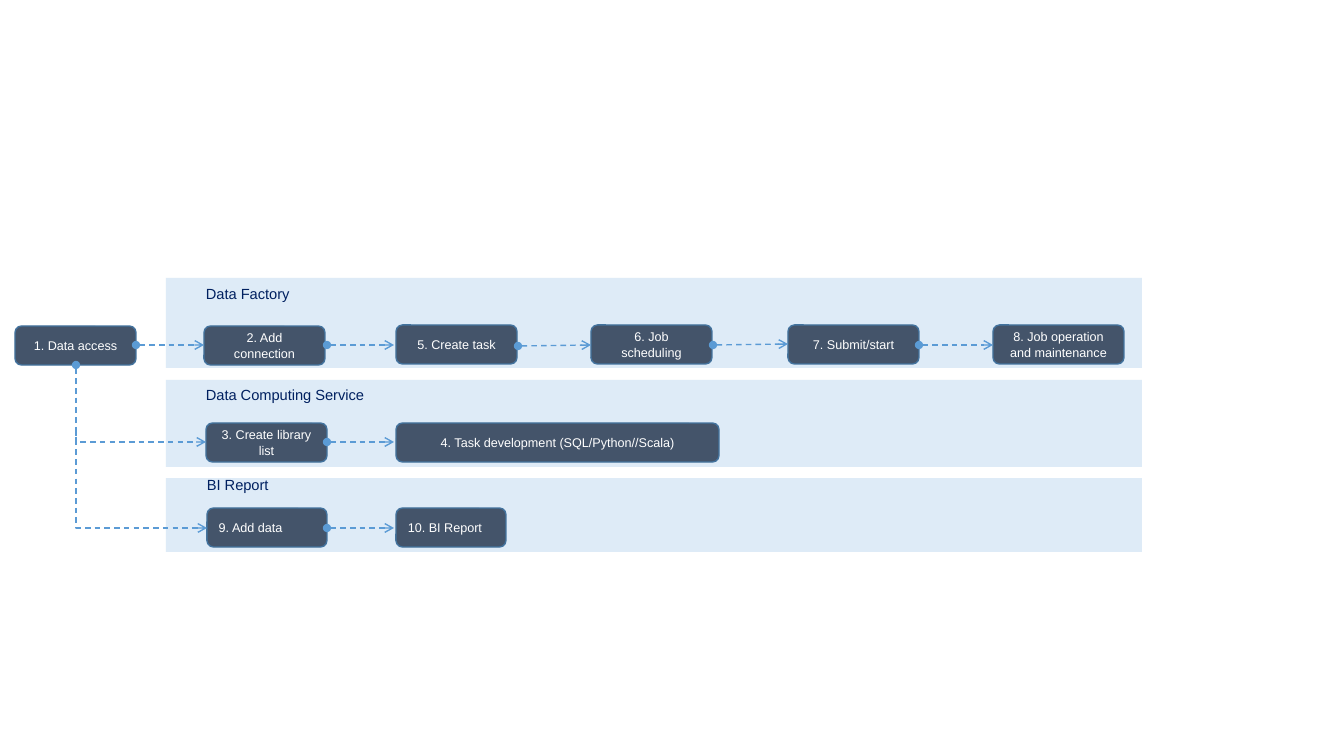
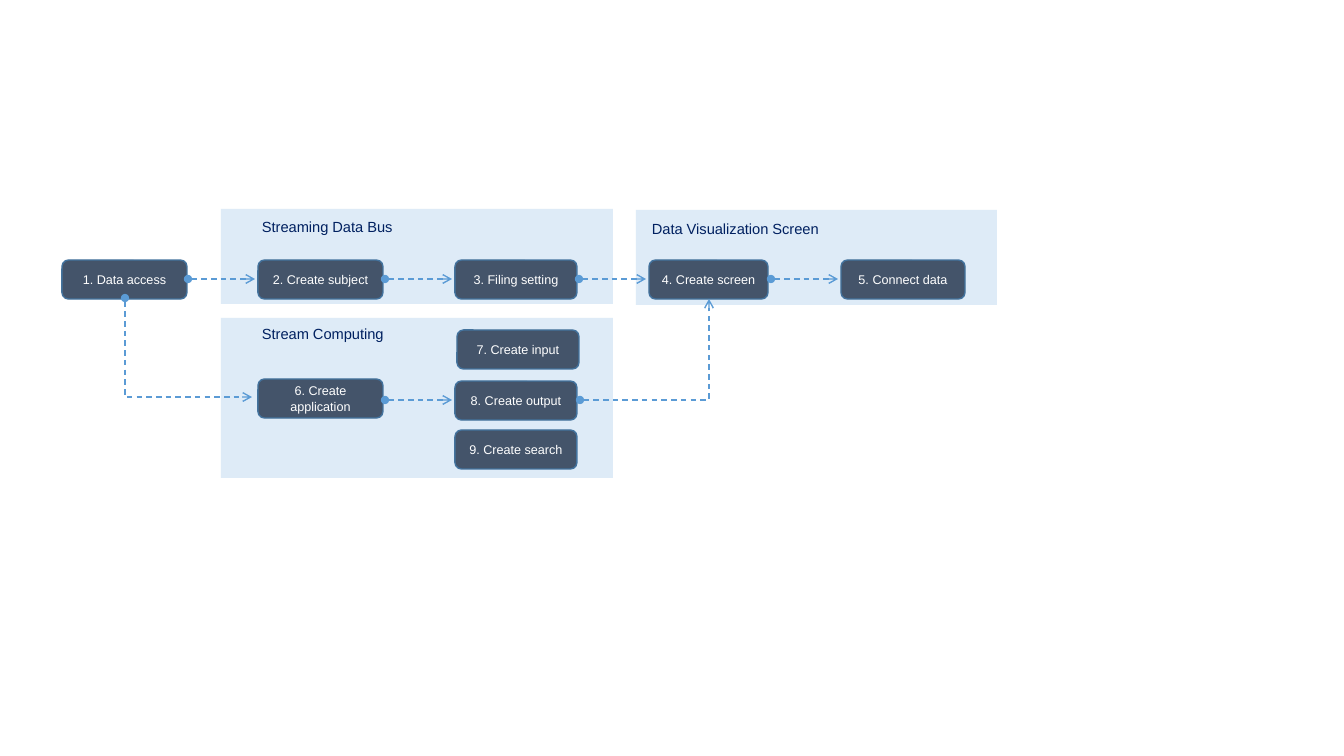
from dataclasses import dataclass

from lxml import etree
from pptx import Presentation
from pptx.dml.color import RGBColor
from pptx.enum.dml import MSO_LINE
from pptx.enum.shapes import MSO_CONNECTOR, MSO_SHAPE
from pptx.enum.text import MSO_ANCHOR, MSO_AUTO_SIZE, PP_ALIGN
from pptx.oxml.ns import qn
from pptx.util import Emu, Pt

RECT, ROUNDED = MSO_SHAPE.RECTANGLE, MSO_SHAPE.ROUNDED_RECTANGLE
STRAIGHT, ELBOW = MSO_CONNECTOR.STRAIGHT, MSO_CONNECTOR.ELBOW
LEFT, CENTER = PP_ALIGN.LEFT, PP_ALIGN.CENTER
MIDDLE, GROW, DASH = MSO_ANCHOR.MIDDLE, MSO_AUTO_SIZE.SHAPE_TO_FIT_TEXT, MSO_LINE.DASH
EMU_PER_PX = 914400 / 100.8
BLANK_LAYOUT = 6
BOX_H = 39
LABEL_H = 29


@dataclass(frozen=True)
class Theme:
    """Colours, font and sizes shared by all slides."""
    band: str = "DEEBF7"
    box: str = "44546A"
    border: str = "43739E"
    arrow: str = "5B9BD5"
    box_text: str = "FFFFFF"
    label_text: str = "002060"
    font: str = "Arial"
    box_size: float = 9
    label_size: float = 10.5
    line_width: float = 1


def px(*lengths):
    """Turn pixel lengths into EMU."""
    return [Emu(round(n * EMU_PER_PX)) for n in lengths]


def rgb(color):
    """Turn a hex string into a colour."""
    return RGBColor.from_string(color)


def write(tf, text, *, font, size, color, align=LEFT):
    """Write one formatted paragraph into a text frame."""
    tf.word_wrap = True
    p = tf.paragraphs[0]
    p.alignment = align
    r = p.add_run()
    r.text = text
    r.font.name, r.font.size = font, Pt(size)
    r.font.color.rgb = rgb(color)


class FlowDeck:
    """Draws flow chart elements on the current slide."""

    def __init__(self, theme):
        """Start an empty widescreen presentation."""
        self.theme = theme
        self.prs = Presentation()
        self.prs.slide_width, self.prs.slide_height = px(1344, 756)
        self.s = None

    def new_slide(self):
        """Add a blank slide and make it current."""
        self.s = self.prs.slides.add_slide(self.prs.slide_layouts[BLANK_LAYOUT])

    def shape(self, kind, x, y, w, h, fill):
        """Add a flat filled shape without an outline."""
        sp = self.s.shapes.add_shape(kind, *px(x, y, w, h))
        sp.shadow.inherit = False
        sp.fill.solid()
        sp.fill.fore_color.rgb = rgb(fill)
        sp.line.fill.background()
        return sp

    def band(self, x, y, w, h):
        """Add the pale background of a service."""
        self.shape(RECT, x, y, w, h, self.theme.band)

    def box(self, text, x, y, w, align=CENTER):
        """Add a rounded step box."""
        t = self.theme
        sp = self.shape(ROUNDED, x, y, w, BOX_H, t.box)
        sp.line.color.rgb = rgb(t.border)
        sp.line.width = Pt(t.line_width)
        sp.text_frame.vertical_anchor = MIDDLE
        write(sp.text_frame, text, font=t.font, size=t.box_size,
              color=t.box_text, align=align)

    def label(self, text, x, y, w):
        """Add the name of a service."""
        t = self.theme
        tf = self.s.shapes.add_textbox(*px(x, y, w, LABEL_H)).text_frame
        tf.auto_size = GROW
        write(tf, text, font=t.font, size=t.label_size, color=t.label_text)

    def arrow(self, x1, y1, x2, y2, kind=STRAIGHT, dot=True):
        """Add a dashed arrow, by default with a dot at its start."""
        cn = self.s.shapes.add_connector(kind, *px(x1, y1, x2, y2))
        cn.line.color.rgb = rgb(self.theme.arrow)
        cn.line.width = Pt(self.theme.line_width)
        cn.line.dash_style = DASH
        sp_pr = cn.element.spPr
        ln = sp_pr.find(qn("a:ln"))
        if dot:
            etree.SubElement(ln, qn("a:headEnd"), type="oval")
        etree.SubElement(ln, qn("a:tailEnd"), type="arrow")
        etree.SubElement(sp_pr, qn("a:effectLst"))
        return cn

    def corner(self, x1, y1, x2, y2, down_first=True, dot=True):
        """Add an arrow with a single right-angled bend."""
        ends = x1, y1, x2, y2
        if down_first:
            cx, cy = (x1 + x2) / 2, (y1 + y2) / 2
            dx, dy = (x2 - x1) / 2, (y2 - y1) / 2
            ends = cx + dy, cy - dx, cx - dy, cy + dx
        cn = self.arrow(*ends, kind=ELBOW, dot=dot)
        cn.element.spPr.find(qn("a:prstGeom")).set("prst", "bentConnector2")
        if down_first:
            cn.rotation = 270


def batch_flow(deck):
    """Build the data factory, computing and report flow."""
    deck.new_slide()
    for y, h in ((278, 90), (380, 87), (478, 74)):
        deck.band(166, y, 976, h)
    for text, x, y, w in (
        ("1. Data access", 15, 326, 121),
        ("2. Add connection", 204, 326, 121),
        ("5. Create task", 396, 325, 121),
        ("6. Job scheduling", 591, 325, 121),
        ("7. Submit/start", 788, 325, 131),
        ("8. Job operation and maintenance", 993, 325, 131),
        ("3. Create library list", 206, 423, 121),
        ("4. Task development (SQL/Python//Scala)", 396, 423, 323),
    ):
        deck.box(text, x, y, w)
    deck.box("9. Add data", 207, 508, 120, align=LEFT)
    deck.box("10. BI Report", 396, 508, 110, align=LEFT)
    for x1, y1, x2, y2 in (
        (136, 345, 204, 345), (327, 345, 394, 345), (518, 346, 591, 345),
        (713, 345, 788, 344), (919, 345, 993, 345),
        (327, 442, 394, 442), (327, 528, 394, 528),
    ):
        deck.arrow(x1, y1, x2, y2)
    deck.corner(76, 365, 206, 442)
    deck.corner(76, 430, 207, 528, dot=False)
    deck.label("Data Factory", 196, 280, 174)
    deck.label("Data Computing Service", 196, 381, 349)
    deck.label("BI Report", 197, 471, 174)


def stream_flow(deck):
    """Build the streaming and visualization flow."""
    deck.new_slide()
    for x, y, w, h in ((636, 210, 361, 95), (221, 318, 392, 160), (221, 209, 392, 95)):
        deck.band(x, y, w, h)
    for text, x, y, w in (
        ("1. Data access", 62, 260, 125),
        ("2. Create subject", 258, 260, 125),
        ("3. Filing setting", 455, 260, 122),
        ("4. Create screen", 649, 260, 119),
        ("5. Connect data", 841, 260, 124),
        ("6. Create application", 258, 379, 125),
        ("7. Create input", 457, 330, 122),
        ("8. Create output", 455, 381, 122),
        ("9. Create search", 455, 430, 122),
    ):
        deck.box(text, x, y, w)
    for x, y in ((188, 279), (385, 279), (579, 279), (771, 279), (385, 400)):
        deck.arrow(x, y, x + 67, y)
    deck.corner(125, 298, 252, 397)
    deck.corner(580, 400, 709, 299, down_first=False)
    deck.label("Streaming Data Bus", 252, 213, 174)
    deck.label("Stream Computing", 252, 320, 174)
    deck.label("Data Visualization Screen", 642, 215, 276)


deck = FlowDeck(Theme())
batch_flow(deck)
stream_flow(deck)
deck.prs.save("out.pptx")
